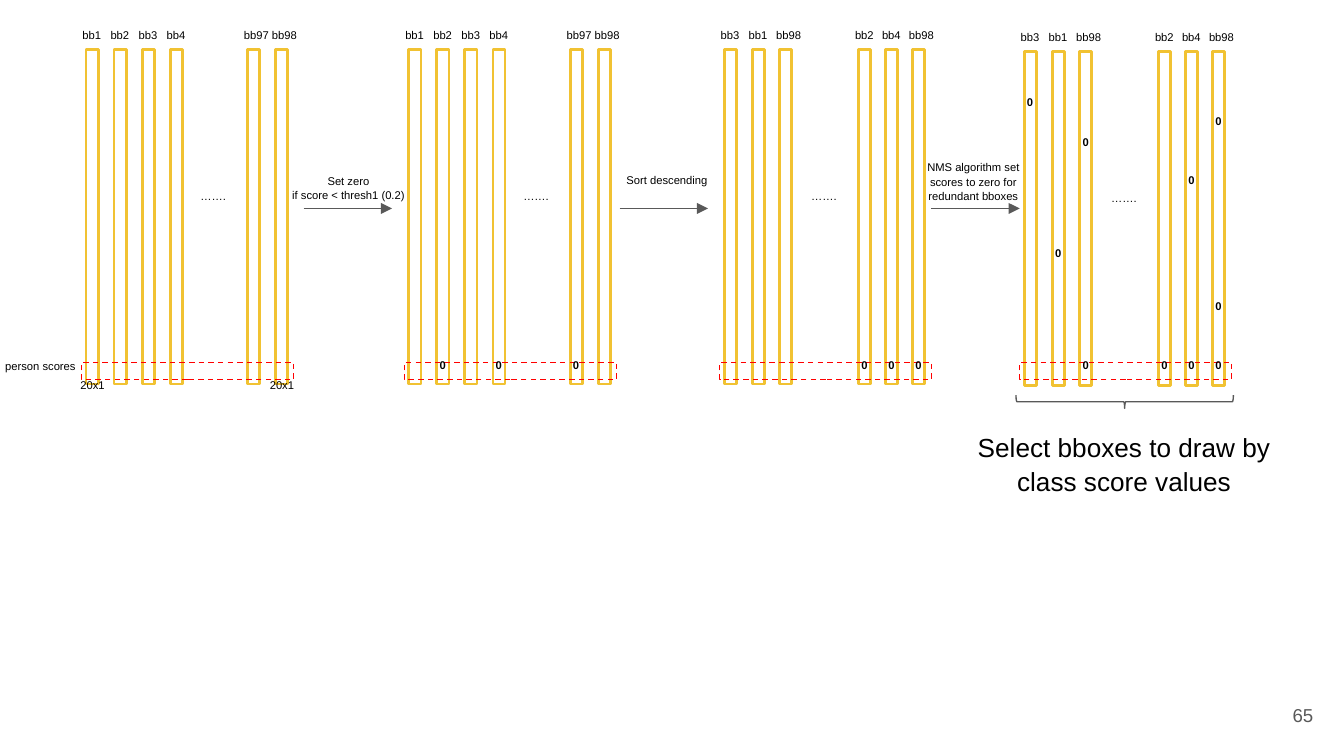
import pptx
import pptx.dml.color
import pptx.enum.dml
import pptx.enum.shapes
import pptx.enum.text
import pptx.oxml
import pptx.oxml.ns
import pptx.util
from pptx.util import Cm

SHAPE = pptx.enum.shapes.MSO_SHAPE
ALIGN = pptx.enum.text.PP_ALIGN
ANCHOR = pptx.enum.text.MSO_ANCHOR

YELLOW, RED, GREY, BLACK, WHITE = "F1C232", "FF0000", "595959", "000000", "FFFFFF"
BAR_LENGTH, BAR_WIDTH, BAR_CENTRE_Y = 6.32, 0.23, 4.1
SCORE_ZERO_TOP = 6.62

# Bar centres, measured from the first bar of a group
FOUR_THEN_TWO = [0, 0.53, 1.06, 1.59, 3.05, 3.58]
THREE_THEN_THREE = [0, 0.53, 1.05, 2.54, 3.05, 3.56]

ORIGINAL = ["bb1", "bb2", "bb3", "bb4", "bb97", "bb98"]
SORTED = ["bb3", "bb1", "bb98", "bb2", "bb4", "bb98"]

# First bar x, vertical shift, bar offsets, dots offset, labels, bars with zero person score
GROUPS = [
    (1.74, 0, FOUR_THEN_TWO, 1.8, ORIGINAL, []),
    (7.84, 0, FOUR_THEN_TWO, 1.8, ORIGINAL, [1, 3, 4]),
    (13.8, 0, THREE_THEN_THREE, 1.28, SORTED, [3, 4, 5]),
    (19.47, 0.03, THREE_THEN_THREE, 1.28, SORTED, [2, 3, 4, 5]),
]
# Bar index and top of the zeros that NMS sets in the last group
NMS_ZEROS = [(0, 1.65), (1, 4.5), (2, 2.41), (4, 3.12), (5, 2.01), (5, 5.51)]


def rgb(color):
    return pptx.dml.color.RGBColor.from_string(color)


def add_text(s, text, x, y, w, h, size=6, color=BLACK, bold=False,
             align=ALIGN.LEFT, anchor=ANCHOR.TOP):
    tf = s.shapes.add_textbox(Cm(x), Cm(y), Cm(w), Cm(h)).text_frame
    tf.word_wrap = True
    tf.vertical_anchor = anchor
    tf.margin_left = tf.margin_right = tf.margin_top = tf.margin_bottom = Cm(0.25)
    tf.text = text
    for p in tf.paragraphs:
        p.alignment = align
        p.line_spacing = 1.07
        for r in p.runs:
            r.font.name = "Arial"
            r.font.size = pptx.util.Pt(size)
            r.font.bold = bold
            r.font.color.rgb = rgb(color)


def add_outline(s, kind, x, y, w, h, color, width=0.75, fill=None):
    sp = s.shapes.add_shape(kind, Cm(x), Cm(y), Cm(w), Cm(h))
    sp.shadow.inherit = False
    if fill:
        sp.fill.solid()
        sp.fill.fore_color.rgb = rgb(fill)
    else:
        sp.fill.background()
    sp.line.color.rgb = rgb(color)
    sp.line.width = pptx.util.Pt(width)
    return sp


def add_bar(s, cx, cy):
    """Draw a column vector as a long flat box turned upright about its centre."""
    sp = add_outline(s, SHAPE.RECTANGLE, cx - BAR_LENGTH / 2, cy - BAR_WIDTH / 2,
                     BAR_LENGTH, BAR_WIDTH, YELLOW, 1.5, WHITE)
    sp.rotation = 90


def add_zero(s, cx, y):
    add_text(s, "0", cx - 0.31, y, 0.61, 0.69, bold=True, align=ALIGN.CENTER)


def add_group(s, x, dy, offsets, dots_offset, labels, zeros):
    for offset, label in zip(offsets, labels):
        add_bar(s, x + offset, BAR_CENTRE_Y + dy)
        add_text(s, label, x + offset - 0.43, 0.38 + dy, 1.07, 0.69)
    add_text(s, "…….", x + dots_offset, 3.43 + dy, 1.7, 0.51)
    box = add_outline(s, SHAPE.RECTANGLE, x - 0.2, 6.85, 4.01, 0.33, RED)
    box.line.dash_style = pptx.enum.dml.MSO_LINE.DASH
    for i in zeros:
        add_zero(s, x + offsets[i], SCORE_ZERO_TOP)


def add_step(s, x, text, text_x, text_y):
    """Draw an arrow between two groups with its caption."""
    y = 3.94
    c = s.shapes.add_connector(pptx.enum.shapes.MSO_CONNECTOR.STRAIGHT,
                               Cm(x), Cm(y), Cm(x + 1.67), Cm(y))
    c.line.color.rgb = rgb(GREY)
    c.line.width = pptx.util.Pt(0.75)
    ns = pptx.oxml.ns.nsdecls("a")
    c.line._get_or_add_ln().append(pptx.oxml.parse_xml(f'<a:tailEnd {ns} type="triangle"/>'))
    c._element.spPr.append(pptx.oxml.parse_xml(f"<a:effectLst {ns}/>"))
    add_text(s, text, text_x, text_y, 2.95, 0.69, align=ALIGN.CENTER)


def add_result(s):
    brace = add_outline(s, SHAPE.RIGHT_BRACE, 21.13, 5.54, 0.25, 4.11, GREY)
    brace.rotation = 90
    brace.adjustments[0] = 0.08
    brace.adjustments[1] = 0.5
    add_text(s, "Select bboxes to draw by class score values",
             18.03, 7.87, 6.43, 0.69, size=14, align=ALIGN.CENTER)


def main():
    prs = pptx.Presentation()
    prs.slide_width, prs.slide_height = Cm(25.4), Cm(14.29)
    s = prs.slides.add_slide(prs.slide_layouts[6])

    for group in GROUPS:
        add_group(s, *group)
    last_x, last_offsets = GROUPS[-1][0], GROUPS[-1][2]
    for i, y in NMS_ZEROS:
        add_zero(s, last_x + last_offsets[i], y)

    add_step(s, 5.74, "Set zero\nif score < thresh1 (0.2)", 5.11, 3.02)
    add_step(s, 11.71, "Sort descending", 11.13, 3.12)
    add_step(s, 17.6, "NMS algorithm set\nscores to zero for redundant bboxes", 16.92, 2.77)

    add_text(s, "person scores", -0.15, 6.63, 2.01, 0.69)
    for x in (1.27, 4.85):
        add_text(s, "20x1", x, 7, 1.07, 0.51)
    add_result(s)
    add_text(s, "65", 23.55, 12.95, 1.52, 1.09, size=10, color=GREY,
             align=ALIGN.RIGHT, anchor=ANCHOR.MIDDLE)
    prs.save("out.pptx")


if __name__ == "__main__":
    main()
